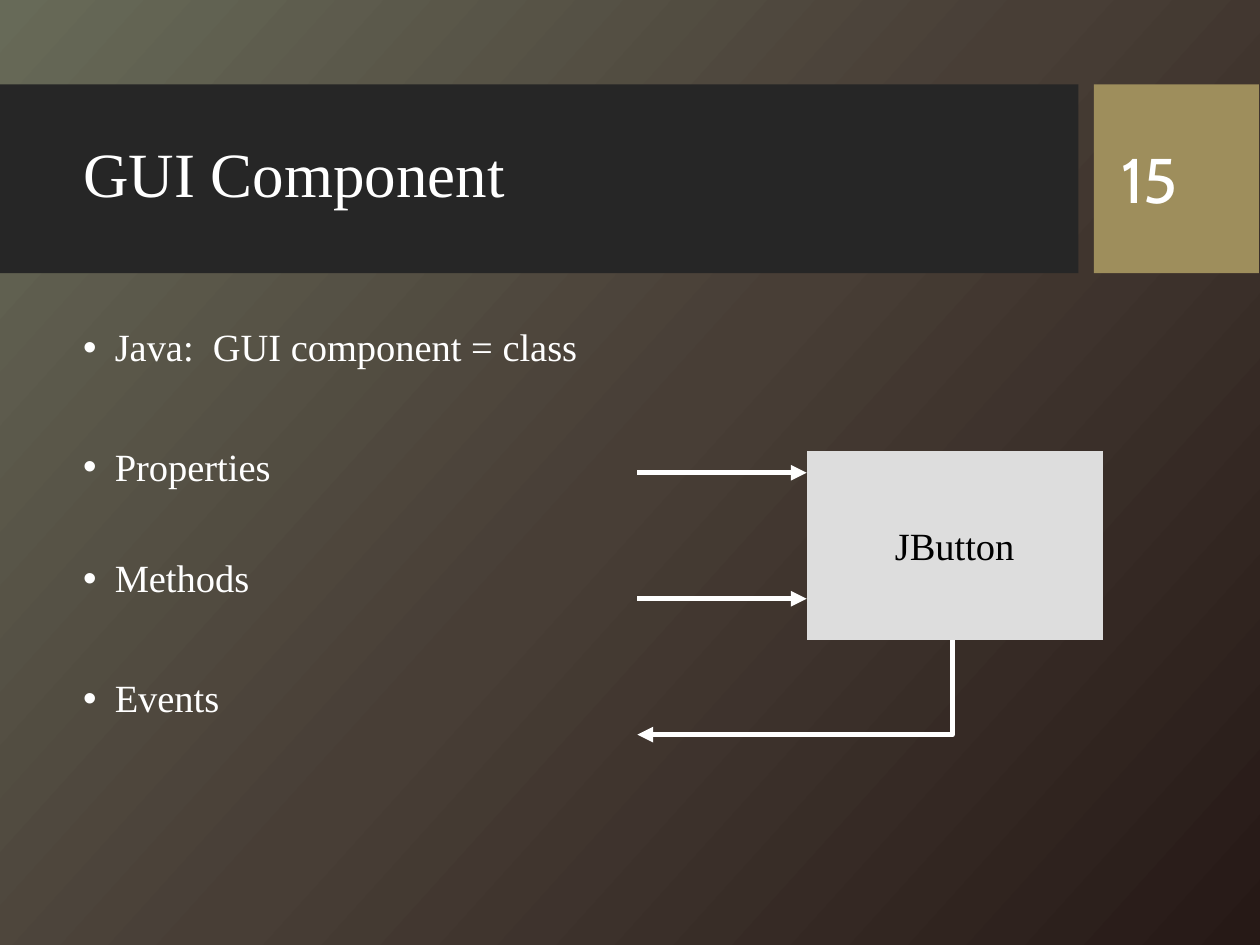
import copy
import pptx
import pptx.util
import pptx.dml.color
import pptx.enum.shapes
import pptx.enum.text
import pptx.oxml.ns
import lxml.etree

Cm = pptx.util.Cm
Pt = pptx.util.Pt
qn = pptx.oxml.ns.qn
Align = pptx.enum.text.PP_ALIGN
Anchor = pptx.enum.text.MSO_ANCHOR
Preset = pptx.enum.shapes.MSO_SHAPE

theme = {
    "background": [(0, "676A58"), (0.5, "483E36"), (1, "261916")],
    "band": "262626",
    "accent": "9E8E5C",
    "button": "DDDDDD",
    "light": "FFFFFF",
    "dark": "000000",
    "font": "Times New Roman",
    "number_font": "Cabin",
    "heading_size": 36,
    "body_size": 22,
    "line_width": 3,
}


def write(paragraph, text, size, color, font, **formats):
    run = paragraph.add_run()
    run.text = text
    run.font.color.rgb = pptx.dml.color.RGBColor.from_string(theme[color])
    for name, value in {"size": Pt(theme[size]), "name": theme[font]}.items():
        setattr(run.font, name, value)
    for name, value in formats.items():
        setattr(paragraph, name, value)


def style_arrow(shape):
    shape.line.color.rgb = pptx.dml.color.RGBColor.from_string(theme["light"])
    shape.line.width = Pt(theme["line_width"])
    lxml.etree.SubElement(shape.line._get_or_add_ln(), qn("a:tailEnd"), type="triangle")
    if shape._element.spPr.find(qn("a:effectLst")) is None:
        lxml.etree.SubElement(shape._element.spPr, qn("a:effectLst"))


presentation = pptx.Presentation()
presentation.slide_width = Cm(25.4)
presentation.slide_height = Cm(19.05)
slide = presentation.slides.add_slide(presentation.slide_layouts[1])

background = slide.background.fill
background.gradient()
background.gradient_angle = 318
first_stop = background._fill._gradFill.gsLst[0]
first_stop.addnext(copy.deepcopy(first_stop))
for stop, (position, color) in zip(background.gradient_stops, theme["background"]):
    stop.position = position
    stop.color.rgb = pptx.dml.color.RGBColor.from_string(color)

panels = [
    (Preset.RECTANGLE, "band", 0, 1.7, 21.74, 3.81),
    (Preset.RECTANGLE, "accent", 22.05, 1.7, 3.33, 3.81),
    (Preset.ACTION_BUTTON_CUSTOM, "button", 16.26, 9.09, 5.97, 3.81),
]
for order, (preset, color, *box) in enumerate(panels):
    panel = slide.shapes.add_shape(preset, *map(Cm, box))
    panel.shadow.inherit = False
    panel.fill.solid()
    panel.fill.fore_color.rgb = pptx.dml.color.RGBColor.from_string(theme[color])
    panel.line.fill.background()
    slide.shapes._spTree.insert(2 + order, panel._element)
button = panel

title = slide.shapes.title
body = slide.placeholders[1]
number = slide.shapes.add_textbox(0, 0, 0, 0)
frames = [
    (title, (1.42, 2.08, 20.04, 3), Anchor.MIDDLE, True),
    (body, (1.42, 6.5, 20.04, 10.01), Anchor.TOP, True),
    (number, (22.35, 2.08, 2.41, 3.02), Anchor.MIDDLE, True),
    (button, (16.26, 9.09, 5.97, 3.81), Anchor.MIDDLE, False),
]
for shape, box, anchor, wrap in frames:
    for name, value in zip(("left", "top", "width", "height"), box):
        setattr(shape, name, Cm(value))
    frame_format = {
        "vertical_anchor": anchor,
        "word_wrap": wrap,
        "auto_size": pptx.enum.text.MSO_AUTO_SIZE.NONE,
    }
    for name, value in frame_format.items():
        setattr(shape.text_frame, name, value)

write(title.text_frame.paragraphs[0], "GUI Component", "heading_size", "light", "font",
      alignment=Align.JUSTIFY, line_spacing=0.9)
write(number.text_frame.paragraphs[0], "15", "heading_size", "light", "number_font")
write(button.text_frame.paragraphs[0], "JButton", "body_size", "dark", "font",
      alignment=Align.CENTER)

items = [("Java:  GUI component = class", 10), ("Properties", 44.5),
         ("Methods", 40), ("Events", 44.5)]
for index, (text, space) in enumerate(items):
    paragraph = body.text_frame.add_paragraph() if index else body.text_frame.paragraphs[0]
    write(paragraph, text, "body_size", "light", "font",
          alignment=Align.JUSTIFY, line_spacing=0.9, space_before=Pt(space))
    properties = paragraph._p.get_or_add_pPr()
    properties.set("marL", str(Cm(0.64)))
    properties.set("indent", str(-Cm(0.64)))
    lxml.etree.SubElement(properties, qn("a:buFont"), typeface="Arial")
    lxml.etree.SubElement(properties, qn("a:buChar"), char="•")

arrow_start = Cm(12.85)
for height in (9.53, 12.07):
    arrow = slide.shapes.add_connector(
        pptx.enum.shapes.MSO_CONNECTOR.STRAIGHT,
        arrow_start, Cm(height), button.left, Cm(height))
    style_arrow(arrow)

event_x, event_y = Cm(19.2), Cm(14.81)
builder = slide.shapes.build_freeform(event_x, button.top + button.height)
builder.add_line_segments([(event_x, event_y), (arrow_start, event_y)], close=False)
event_arrow = builder.convert_to_shape()
event_arrow.fill.background()
style_arrow(event_arrow)

presentation.save("out.pptx")
